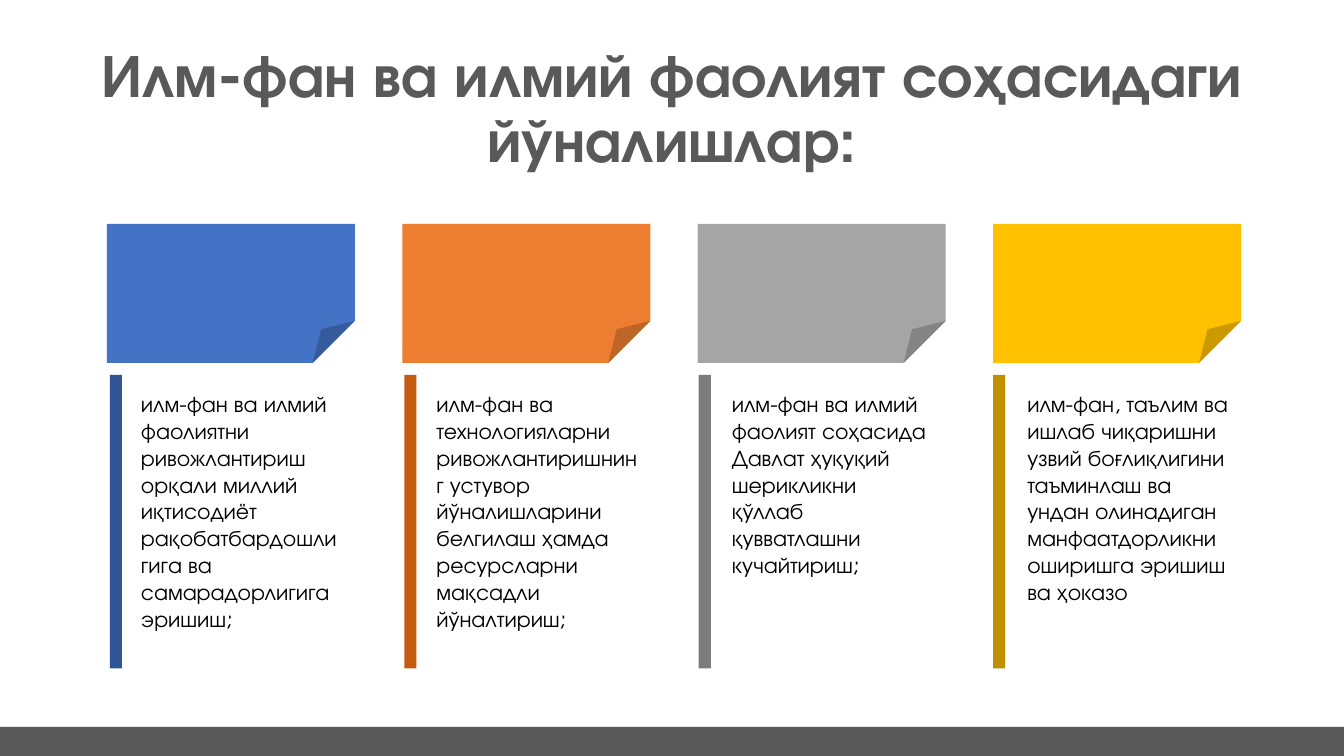
from lxml.etree import SubElement
from pptx import Presentation
from pptx.dml.color import RGBColor
from pptx.enum.shapes import MSO_SHAPE
from pptx.enum.text import MSO_ANCHOR, MSO_AUTO_SIZE, PP_ALIGN
from pptx.oxml.ns import qn
from pptx.util import Inches, Pt

FONT = "TeX Gyre Adventor"
DARK = "595959"
CARD_LEFT, CARD_PITCH = 1.06, 2.93
BAR_LEFT, BAR_PITCH = 1.09, 2.92
TEXT_INDENT = 0.24

COLUMNS = [
    ("4472C4", "2F5597",
     "илм-фан ва илмий фаолиятни ривожлантириш орқали миллий иқтисодиёт "
     "рақобатбардошлигига ва самарадорлигига эришиш;"),
    ("ED7D31", "C55A11",
     "илм-фан ва технологияларни ривожлантиришнинг устувор йўналишларини "
     "белгилаш ҳамда ресурсларни мақсадли йўналтириш;"),
    ("A5A5A5", "7C7C7C",
     "илм-фан ва илмий фаолият соҳасида Давлат ҳуқуқий шерикликни қўллаб "
     "қувватлашни кучайтириш;"),
    ("FFC000", "BF9000",
     "илм-фан, таълим ва ишлаб чиқаришни узвий боғлиқлигини таъминлаш ва "
     "ундан олинадиган манфаатдорликни оширишга эришиш ва ҳоказо"),
]

prs = Presentation()
prs.slide_width, prs.slide_height = Inches(13.33), Inches(7.5)
s = prs.slides.add_slide(prs.slide_layouts[5])


def add_block(kind, left, top, width, height, color):
    """Add a filled shape without outline or shadow."""
    sp = s.shapes.add_shape(kind, Inches(left), Inches(top), Inches(width), Inches(height))
    sp.shadow.inherit = False
    sp.fill.solid()
    sp.fill.fore_color.rgb = RGBColor.from_string(color)
    sp.line.fill.background()
    return sp


def write(sp, text, size, color="000000", bold=False, align=PP_ALIGN.LEFT,
          anchor=MSO_ANCHOR.TOP, spacing=1.0, fit=MSO_AUTO_SIZE.NONE):
    tf = sp.text_frame
    tf.word_wrap = True
    tf.auto_size = fit
    tf.vertical_anchor = anchor
    p = tf.paragraphs[0]
    p.alignment = align
    p.line_spacing = spacing
    r = p.add_run()
    r.text = text
    r.font.name = FONT
    r.font.size = Pt(size)
    r.font.bold = bold
    r.font.color.rgb = RGBColor.from_string(color)


add_block(MSO_SHAPE.RECTANGLE, 0, 7.21, 13.33, 0.29, DARK)

title = s.shapes.title
title.left, title.top = Inches(0), Inches(0.67)
title.width, title.height = prs.slide_width, Inches(0.85)
write(title, "Илм-фан ва илмий фаолият соҳасидаги йўналишлар:", 43.2, color=DARK,
      bold=True, align=PP_ALIGN.CENTER, anchor=MSO_ANCHOR.MIDDLE, spacing=0.9)

for i, (card_color, bar_color, text) in enumerate(COLUMNS):
    card_left = CARD_LEFT + i * CARD_PITCH
    card = add_block(MSO_SHAPE.FOLDED_CORNER, card_left, 2.22, 2.46, 1.38, card_color)
    # python-pptx offers no adjustment for this preset, so the fold size is set in XML
    fold = next(card.element.iter(qn("a:avLst")))
    SubElement(fold, qn("a:gd"), name="adj", fmla="val 30200")
    add_block(MSO_SHAPE.RECTANGLE, BAR_LEFT + i * BAR_PITCH, 3.72, 0.12, 2.91, bar_color)
    box = s.shapes.add_textbox(Inches(card_left + TEXT_INDENT), Inches(3.82),
                               Inches(2.19), Inches(2.79))
    write(box, text, 16, fit=MSO_AUTO_SIZE.SHAPE_TO_FIT_TEXT)

prs.save("out.pptx")
